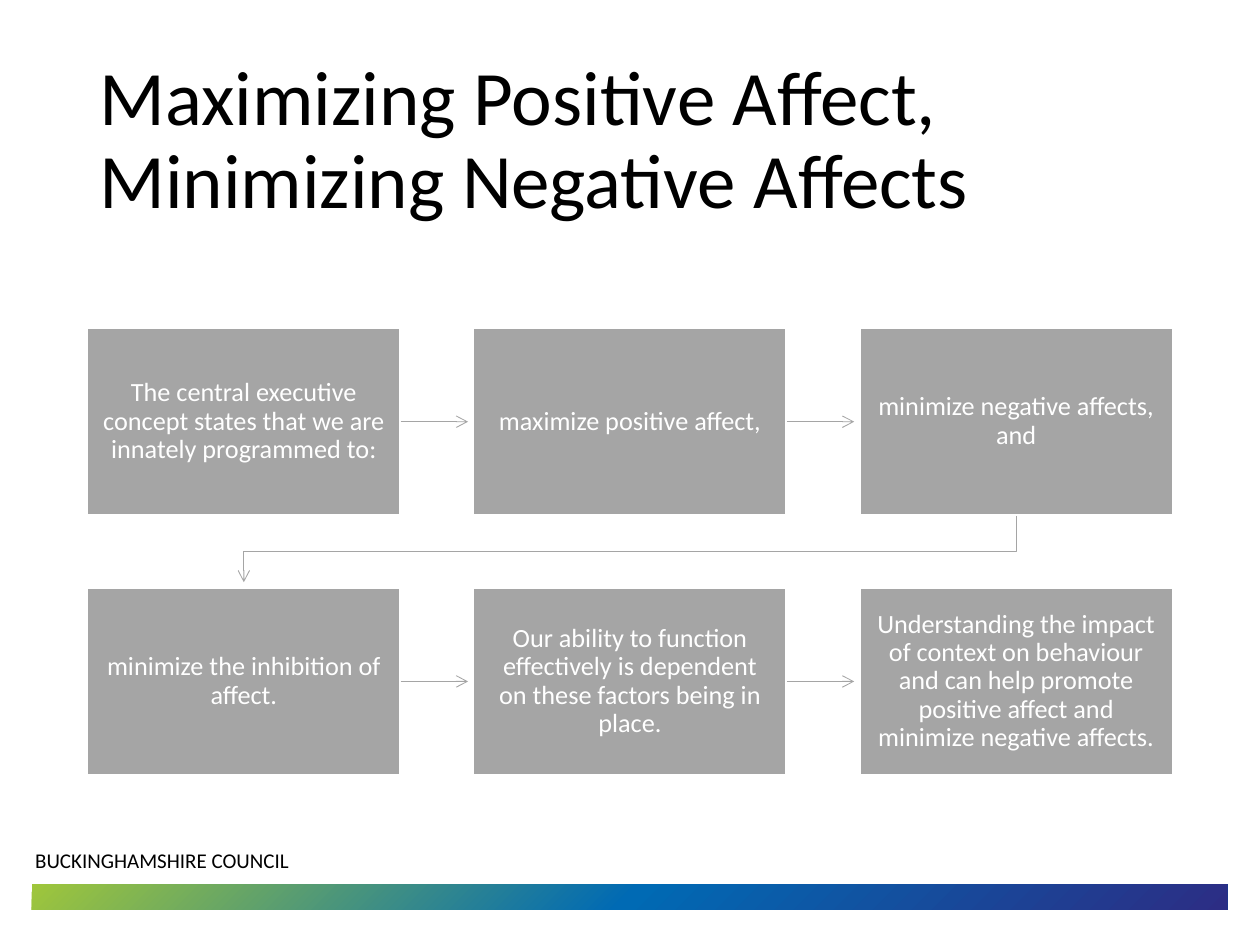
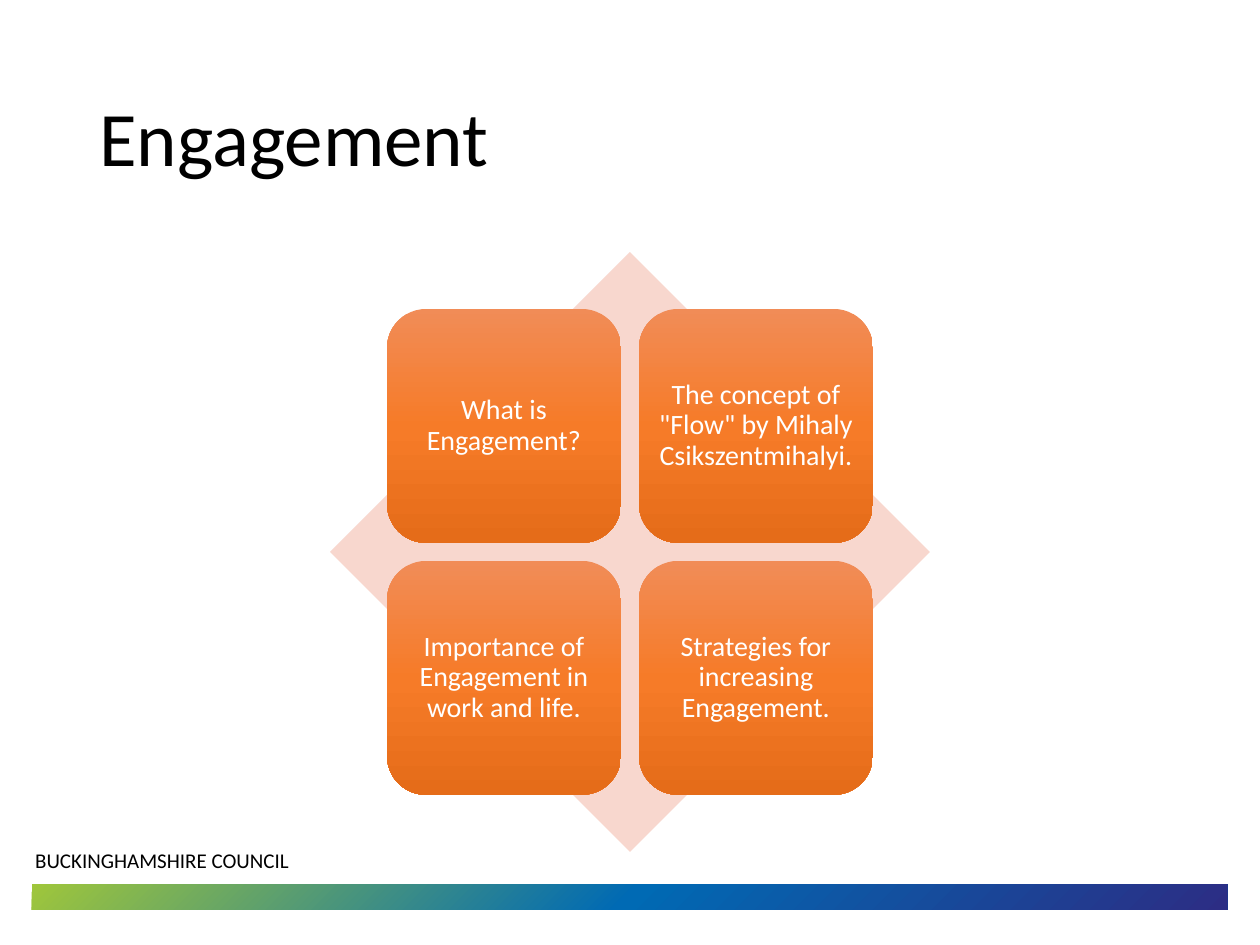
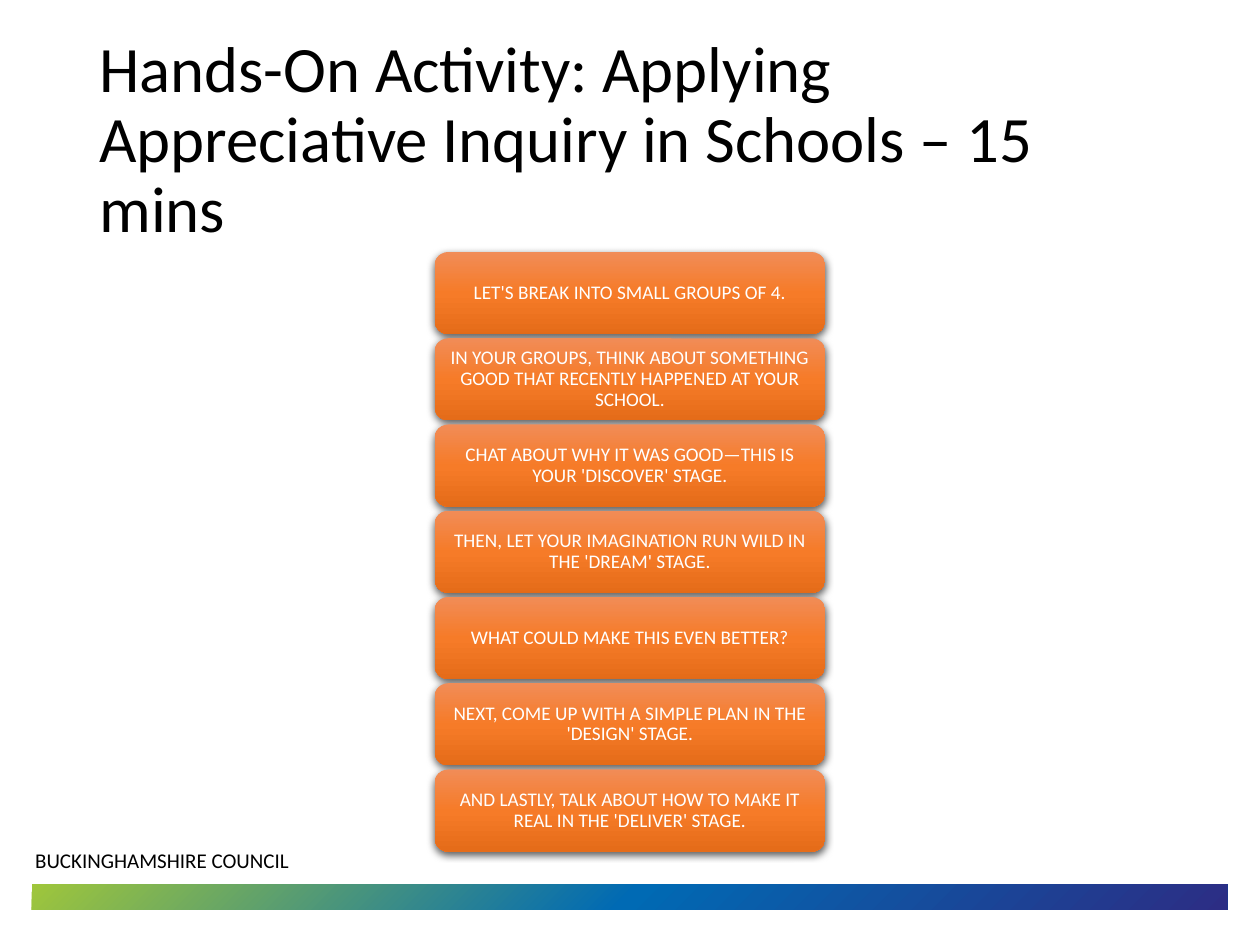
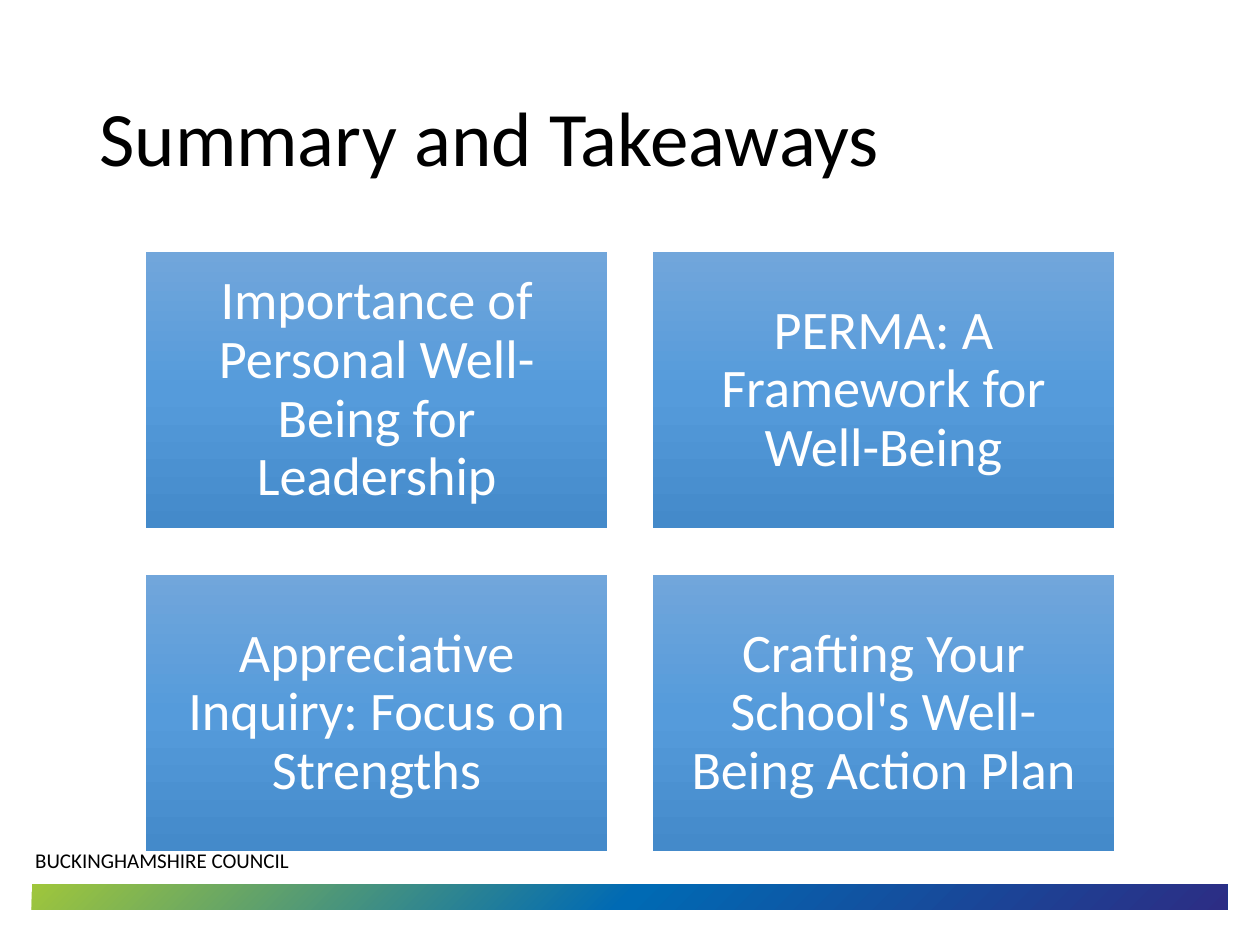
from typing import NamedTuple

import pptx
import pptx.dml.color
import pptx.enum.shapes
import pptx.enum.text
import pptx.oxml
import pptx.oxml.ns
import pptx.util

Pt = pptx.util.Pt
RGBColor = pptx.dml.color.RGBColor
SHAPE = pptx.enum.shapes.MSO_SHAPE
ALIGN = pptx.enum.text.PP_ALIGN
ANCHOR = pptx.enum.text.MSO_ANCHOR

BLACK = RGBColor(0x00, 0x00, 0x00)
WHITE = RGBColor(0xFF, 0xFF, 0xFF)
GREY = RGBColor(0xA5, 0xA5, 0xA5)
PEACH = RGBColor(0xF8, 0xD7, 0xCE)
ORANGES = (RGBColor(0xF1, 0x8C, 0x57), RGBColor(0xF6, 0x7B, 0x28), RGBColor(0xE5, 0x6C, 0x19))
BLUES = (RGBColor(0x71, 0xA6, 0xDB), RGBColor(0x55, 0x9B, 0xDB), RGBColor(0x44, 0x8A, 0xCA))
BAND = (RGBColor(0x2C, 0x2D, 0x84), RGBColor(0x00, 0x6A, 0xB4), RGBColor(0x9F, 0xC6, 0x3B))

FONT = "Calibri"
DOWNWARD = '<a:lin ang="5400000" scaled="0"/>'
FROM_CORNER = '<a:path path="circle"><a:fillToRect l="100000" t="100000"/></a:path>'
SOFT_SHADOW = (
    '<a:outerShdw blurRad="57150" dist="19050" dir="5400000" algn="ctr" rotWithShape="0">'
    '<a:srgbClr val="000000"><a:alpha val="63000"/></a:srgbClr></a:outerShdw>'
)


class Box(NamedTuple):
    left: float
    top: float
    width: float
    height: float

    def lengths(self):
        return [Pt(value) for value in self]


TITLE_BOX = Box(49.7, 28.8, 620.6, 104.4)
CAPTION_BOX = Box(13, 481, 346.3, 21.6)
BAND_BOX = Box(18, 505.4, 683.3, 14.6)
FLOW_BOX = Box(49.7, 187.2, 620.6, 256)
MATRIX_BOX = Box(188.6, 144, 342.8, 342.8)
STEPS_BOX = Box(248.4, 144, 223.2, 342.6)
SUMMARY_BOX = Box(83.5, 144, 553, 342.6)


def make_element(tag, content="", attributes=""):
    namespace = pptx.oxml.ns.nsdecls("a")
    return pptx.oxml.parse_xml(f"<a:{tag} {namespace} {attributes}>{content}</a:{tag}>")


def grid_cells(box, columns, rows, width, height):
    step_x = (box.width - width) / max(columns - 1, 1)
    step_y = (box.height - height) / max(rows - 1, 1)
    return [
        Box(box.left + column * step_x, box.top + row * step_y, width, height)
        for row in range(rows)
        for column in range(columns)
    ]


def write_text(frame, text, size, color, align=ALIGN.LEFT, spacing=0.9,
               anchor=ANCHOR.MIDDLE, inset=(7.2, 3.6)):
    frame.word_wrap = True
    frame.vertical_anchor = anchor
    frame.margin_left = frame.margin_right = Pt(inset[0])
    frame.margin_top = frame.margin_bottom = Pt(inset[1])
    para = frame.paragraphs[0]
    para.alignment = align
    para.line_spacing = spacing
    span = para.add_run()
    span.text = text
    span.font.name = FONT
    span.font.size = Pt(size)
    span.font.color.rgb = color


def paint_gradient(shape, colors, direction):
    stops = "".join(
        f'<a:gs pos="{index * 50000}"><a:srgbClr val="{color}"/></a:gs>'
        for index, color in enumerate(colors)
    )
    gradient = make_element("gradFill", f"<a:gsLst>{stops}</a:gsLst>{direction}", 'rotWithShape="1"')
    shape.element.spPr.find(pptx.oxml.ns.qn("a:prstGeom")).addnext(gradient)


def add_plain_shape(slide, kind, box):
    shape = slide.shapes.add_shape(kind, *box.lengths())
    shape.shadow.inherit = False
    shape.line.fill.background()
    return shape


def add_tile(slide, kind, box, colors, text, size, inset):
    tile = add_plain_shape(slide, kind, box)
    paint_gradient(tile, colors, DOWNWARD)
    write_text(tile.text_frame, text, size, WHITE, ALIGN.CENTER, inset=inset)
    return tile


def style_arrow(arrow):
    arrow.line.color.rgb = GREY
    arrow.line.width = Pt(0.5)
    properties = arrow.element.spPr
    properties.find(pptx.oxml.ns.qn("a:ln")).append(make_element("tailEnd", attributes='type="arrow"'))
    properties.append(make_element("effectLst"))


def add_frame(slide, title, title_size=44):
    band = add_plain_shape(slide, SHAPE.RECTANGLE, BAND_BOX)
    paint_gradient(band, BAND, FROM_CORNER)
    band.element.spPr.xfrm.set("flipH", "1")
    caption = slide.shapes.add_textbox(*CAPTION_BOX.lengths())
    write_text(caption.text_frame, "BUCKINGHAMSHIRE COUNCIL", 12, BLACK,
               spacing=1.0, anchor=ANCHOR.TOP)
    heading = slide.shapes.add_textbox(*TITLE_BOX.lengths())
    write_text(heading.text_frame, title, title_size, BLACK)


def add_flow(slide, box, texts):
    columns = 3
    cells = grid_cells(box, columns, 2, 179.3, 107.6)
    arrow_gap = 2.9
    stages = []
    for cell, text in zip(cells, texts):
        stage = add_plain_shape(slide, SHAPE.RECTANGLE, cell)
        stage.fill.solid()
        stage.fill.fore_color.rgb = GREY
        stage.line.color.rgb = WHITE
        stage.line.width = Pt(1.5)
        write_text(stage.text_frame, text, 15, WHITE, ALIGN.CENTER, inset=(8.8, 9.2))
        stages.append(stage)

    for index, (start, end) in enumerate(zip(cells, cells[1:])):
        if start.top == end.top:
            middle = Pt(start.top + start.height / 2)
            arrow = slide.shapes.add_connector(
                pptx.enum.shapes.MSO_CONNECTOR.STRAIGHT,
                Pt(start.left + start.width), middle, Pt(end.left - arrow_gap), middle)
            arrow.begin_connect(stages[index], 3)
        else:
            start_x, end_x = (Pt(cell.left + cell.width / 2) for cell in (start, end))
            bottom = start.top + start.height
            turn = Pt((bottom + end.top) / 2)
            outline = slide.shapes.build_freeform(start_x, Pt(bottom))
            outline.add_line_segments(
                [(start_x, turn), (end_x, turn), (end_x, Pt(end.top - arrow_gap))], close=False)
            arrow = outline.convert_to_shape()
            arrow.fill.background()
        style_arrow(arrow)


def add_matrix(slide, box, texts):
    diamond = add_plain_shape(slide, SHAPE.DIAMOND, box)
    diamond.fill.solid()
    diamond.fill.fore_color.rgb = PEACH
    margin = box.width * 0.095
    side = box.width * 0.39
    inner = Box(box.left + margin, box.top + margin,
                box.width - 2 * margin, box.height - 2 * margin)
    for cell, text in zip(grid_cells(inner, 2, 2, side, side), texts):
        add_tile(slide, SHAPE.ROUNDED_RECTANGLE, cell, ORANGES, text, 16, (4.8, 4.8))


def add_steps(slide, box, texts):
    for cell, text in zip(grid_cells(box, 1, len(texts), box.width, 46.9), texts):
        step = add_tile(slide, SHAPE.ROUNDED_RECTANGLE, cell, ORANGES, text, 11, (3.3, 1.65))
        effects = step.element.spPr.find(pptx.oxml.ns.qn("a:effectLst"))
        effects.getparent().replace(effects, make_element("effectLst", SOFT_SHADOW))


def add_summary(slide, box, texts):
    for cell, text in zip(grid_cells(box, 2, 2, 263.4, 158), texts):
        add_tile(slide, SHAPE.RECTANGLE, cell, BLUES, text, 31, (9.3, 9.3))


def main():
    deck = pptx.Presentation()
    deck.slide_width = Pt(720)
    deck.slide_height = Pt(540)
    blank = deck.slide_layouts[6]

    slide = deck.slides.add_slide(blank)
    add_frame(slide, "Maximizing Positive Affect, Minimizing Negative Affects")
    add_flow(slide, FLOW_BOX, [
        "The central executive concept states that we are innately programmed to:",
        "maximize positive affect,",
        "minimize negative affects, and",
        "minimize the inhibition of affect.",
        "Our ability to function effectively is dependent on these factors being in place.",
        "Understanding the impact of context on behaviour and can help promote "
        "positive affect and minimize negative affects.",
    ])

    slide = deck.slides.add_slide(blank)
    add_frame(slide, "Engagement")
    add_matrix(slide, MATRIX_BOX, [
        "What is Engagement?",
        'The concept of "Flow" by Mihaly Csikszentmihalyi.',
        "Importance of Engagement in work and life.",
        "Strategies for increasing Engagement.",
    ])

    slide = deck.slides.add_slide(blank)
    add_frame(slide, "Hands-On Activity: Applying Appreciative Inquiry in Schools – 15 mins", 37)
    add_steps(slide, STEPS_BOX, [
        "LET'S BREAK INTO SMALL GROUPS OF 4.",
        "IN YOUR GROUPS, THINK ABOUT SOMETHING GOOD THAT RECENTLY HAPPENED AT YOUR SCHOOL.",
        "CHAT ABOUT WHY IT WAS GOOD—THIS IS YOUR 'DISCOVER' STAGE.",
        "THEN, LET YOUR IMAGINATION RUN WILD IN THE 'DREAM' STAGE.",
        "WHAT COULD MAKE THIS EVEN BETTER?",
        "NEXT, COME UP WITH A SIMPLE PLAN IN THE 'DESIGN' STAGE.",
        "AND LASTLY, TALK ABOUT HOW TO MAKE IT REAL IN THE 'DELIVER' STAGE.",
    ])

    slide = deck.slides.add_slide(blank)
    add_frame(slide, "Summary and Takeaways")
    add_summary(slide, SUMMARY_BOX, [
        "Importance of Personal Well-Being for Leadership",
        "PERMA: A Framework for Well-Being",
        "Appreciative Inquiry: Focus on Strengths",
        "Crafting Your School's Well-Being Action Plan",
    ])

    deck.save("out.pptx")


if __name__ == "__main__":
    main()
